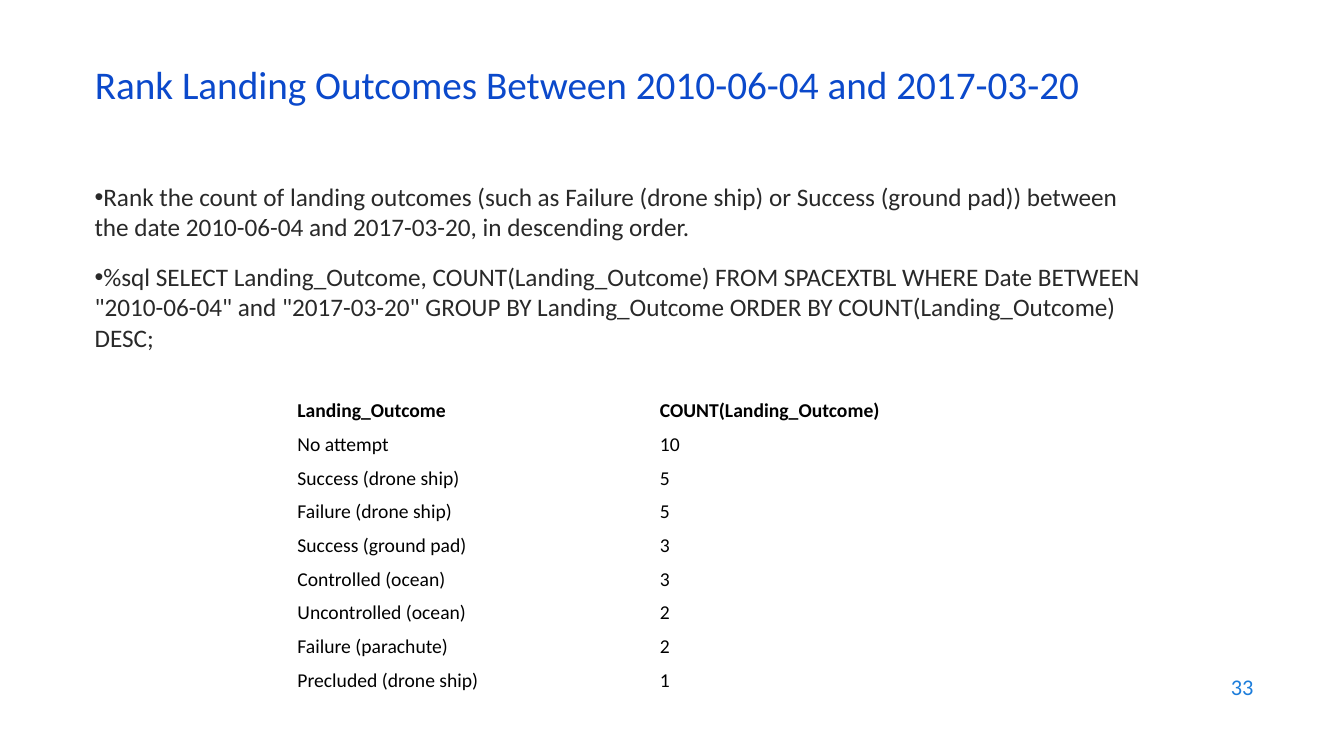
from pptx import Presentation
from pptx import util as u
from pptx.dml.color import RGBColor
from pptx.enum import text
from pptx.oxml.ns import qn
from lxml import etree

WIDTH, HEIGHT = u.Inches(13.33), u.Inches(7.5)
FONT = "Calibri"
COLORS = {"title": "0B49CB", "body": "292929", "number": "1C7DDB",
          "cell": "000000", "paper": "FFFFFF"}
MARGIN = 6.3  # left edge shared by title and body, percent of width

TITLE = "Rank Landing Outcomes Between 2010-06-04 and 2017-03-20"
BULLETS = [
    "Rank the count of landing outcomes (such as Failure (drone ship) or "
    "Success (ground pad)) between the date 2010-06-04 and 2017-03-20, "
    "in descending order.",
    "%sql SELECT Landing_Outcome, COUNT(Landing_Outcome) FROM SPACEXTBL "
    'WHERE Date BETWEEN "2010-06-04" and "2017-03-20" GROUP BY '
    "Landing_Outcome ORDER BY COUNT(Landing_Outcome) DESC;",
]
OUTCOMES = [
    ("Landing_Outcome", "COUNT(Landing_Outcome)"),
    ("No attempt", "10"),
    ("Success (drone ship)", "5"),
    ("Failure (drone ship)", "5"),
    ("Success (ground pad)", "3"),
    ("Controlled (ocean)", "3"),
    ("Uncontrolled (ocean)", "2"),
    ("Failure (parachute)", "2"),
    ("Precluded (drone ship)", "1"),
]


def area(left, top, width, height):
    """Turn percentages of the slide's size into lengths."""
    return [u.Emu(round(share * side / 100)) for share, side in
            zip((left, top, width, height), (WIDTH, HEIGHT) * 2)]


def add_run(p, words, size, color, bold=False):
    r = p.add_run()
    r.text = words
    r.font.name = FONT
    r.font.size = u.Pt(size)
    r.font.bold = bold
    r.font.color.rgb = RGBColor.from_string(COLORS[color])


def add_title(s):
    sp = s.shapes.title
    sp.left, sp.top, sp.width, sp.height = area(MARGIN, 7.87, 86.27, 8)
    tf = sp.text_frame
    tf.auto_size = text.MSO_AUTO_SIZE.NONE
    tf.vertical_anchor = text.MSO_ANCHOR.MIDDLE
    p = tf.paragraphs[0]
    p.alignment = text.PP_ALIGN.LEFT
    p.line_spacing = 0.7
    add_run(p, TITLE, 28, "title")


def add_text_frame(s, box):
    tf = s.shapes.add_textbox(*box).text_frame
    tf.word_wrap = True
    return tf


def add_bullets(s):
    tf = add_text_frame(s, area(MARGIN, 23.33, 79.97, 26.67))
    for i, words in enumerate(BULLETS):
        p = tf.add_paragraph() if i else tf.paragraphs[0]
        pPr = p._p.get_or_add_pPr()
        pPr.set("marL", "0")
        pPr.set("indent", "0")
        etree.SubElement(pPr, qn("a:buFont")).set("typeface", "Arial")
        etree.SubElement(pPr, qn("a:buChar")).set("char", "•")
        if i:
            p.space_before = u.Pt(14)
        add_run(p, words, 18, "body")


def add_outcome_table(s):
    table = s.shapes.add_table(len(OUTCOMES), len(OUTCOMES[0]),
                               *area(21.38, 52.13, 53.94, 40)).table
    table.first_row = table.horz_banding = False
    for i, row in enumerate(OUTCOMES):
        for j, words in enumerate(row):
            cell = table.cell(i, j)
            cell.fill.solid()
            cell.fill.fore_color.rgb = RGBColor.from_string(COLORS["paper"])
            cell.vertical_anchor = text.MSO_ANCHOR.MIDDLE
            add_run(cell.text_frame.paragraphs[0], words, 14, "cell", bold=i == 0)


def add_page_number(s):
    tf = add_text_frame(s, area(71.49, 87.87, 22.51, 5.87))
    tf.vertical_anchor = text.MSO_ANCHOR.MIDDLE
    p = tf.paragraphs[0]
    p.alignment = text.PP_ALIGN.RIGHT
    add_run(p, "33", 16, "number")


def main():
    prs = Presentation()
    prs.slide_width, prs.slide_height = WIDTH, HEIGHT
    s = prs.slides.add_slide(prs.slide_layouts.get_by_name("Title Only"))
    add_page_number(s)
    add_bullets(s)
    add_title(s)
    add_outcome_table(s)
    prs.save("out.pptx")


if __name__ == "__main__":
    main()
